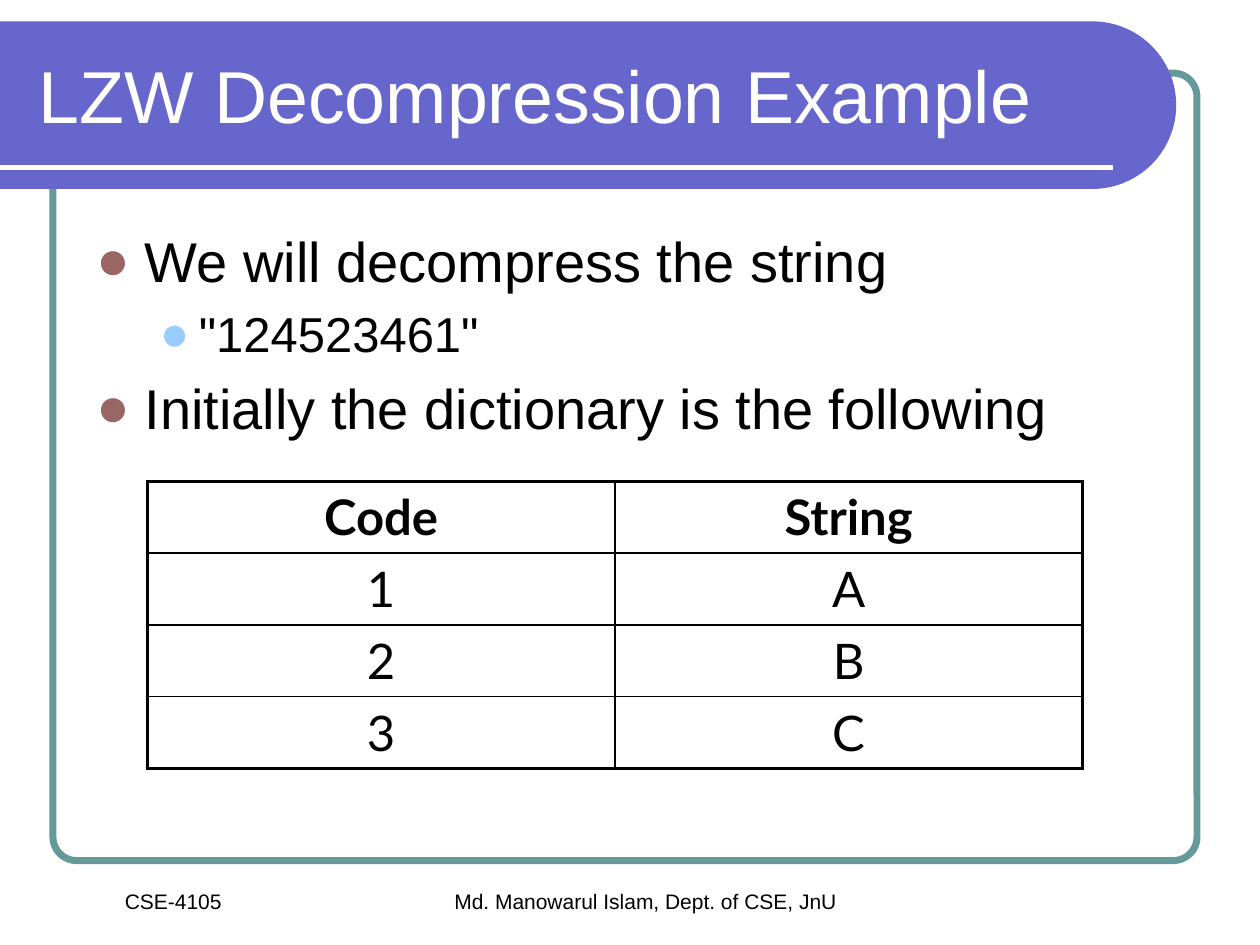
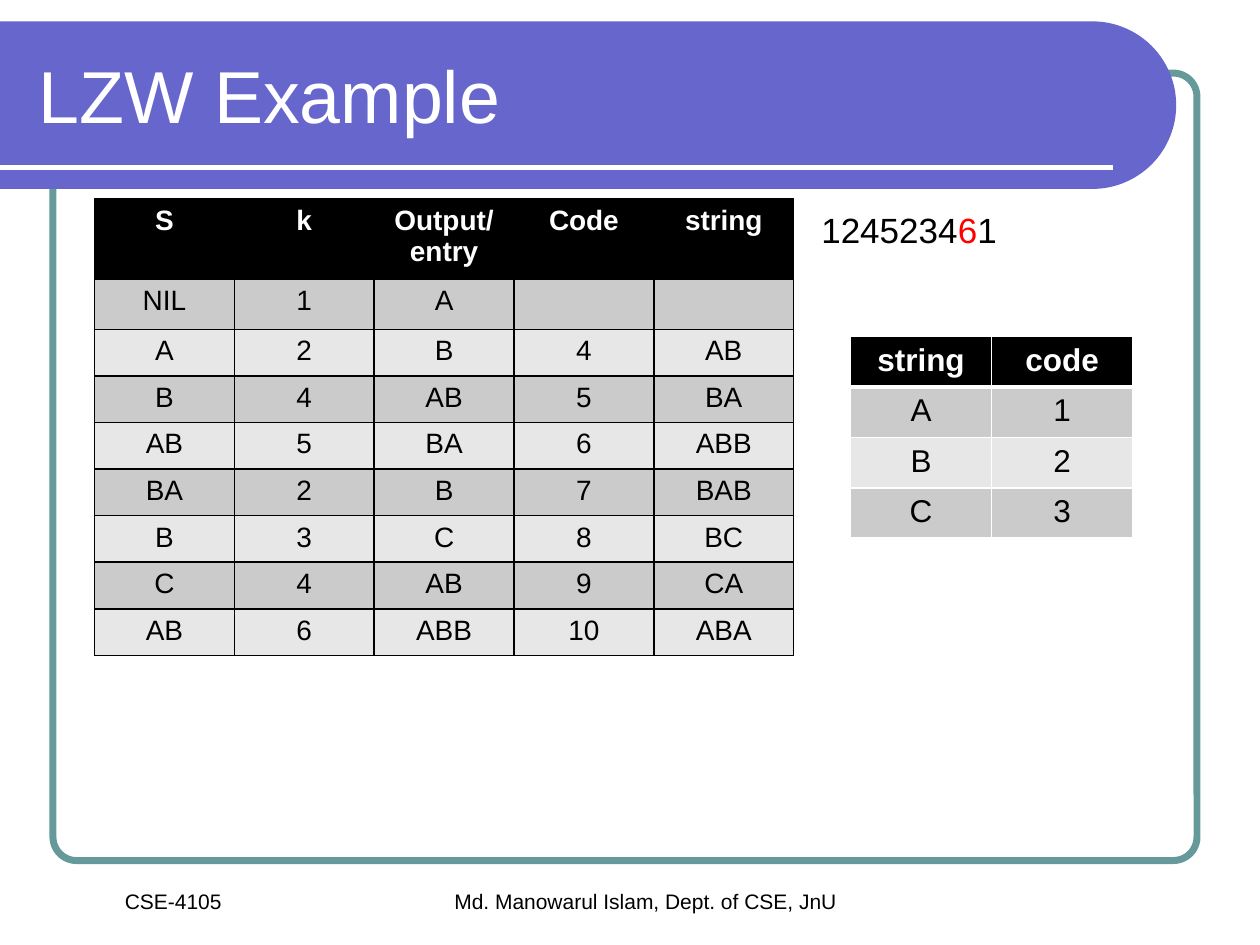
import math

from lxml import etree
from pptx import Presentation
from pptx.dml.color import RGBColor
from pptx.enum.shapes import MSO_CONNECTOR, MSO_SHAPE
from pptx.enum.text import MSO_ANCHOR, PP_ALIGN
from pptx.oxml.ns import qn
from pptx.util import Inches, Pt

LEFT = PP_ALIGN.LEFT
CENTER = PP_ALIGN.CENTER
TOP = MSO_ANCHOR.TOP
MIDDLE = MSO_ANCHOR.MIDDLE
ROUNDED = MSO_SHAPE.ROUNDED_RECTANGLE
STRAIGHT = MSO_CONNECTOR.STRAIGHT

WHITE = RGBColor(0xFF, 0xFF, 0xFF)
BLACK = RGBColor(0x00, 0x00, 0x00)
VIOLET = RGBColor(0x66, 0x66, 0xCC)
TEAL = RGBColor(0x66, 0x99, 0x99)
BROWN = RGBColor(0x99, 0x66, 0x66)
SKY = RGBColor(0x99, 0xCC, 0xFF)
RED = RGBColor(0xFF, 0x00, 0x00)
DARK_GRAY = RGBColor(0xCB, 0xCB, 0xCB)
LIGHT_GRAY = RGBColor(0xE7, 0xE7, 0xE7)


def add_text(page, place, lines, size, color=BLACK, align=LEFT, anchor=TOP):
    box = page.shapes.add_textbox(*[Inches(length) for length in place])
    frame = box.text_frame
    frame.word_wrap = True
    frame.vertical_anchor = anchor
    frame.text = "\n".join(lines)
    for para in frame.paragraphs:
        para.alignment = align
        for span in para.runs:
            span.font.name = "Arial"
            span.font.size = Pt(size)
            span.font.color.rgb = color
    return frame


def add_grid(page, rows, left, top, column_width, heights, font, size,
             head_color, fills, border, outer=1, head_rule=1):
    row_count, column_count = len(rows), len(rows[0])
    table = page.shapes.add_table(
        row_count, column_count, Inches(left), Inches(top),
        Inches(column_width * column_count), Inches(sum(heights))).table
    for column in table.columns:
        column.width = Inches(column_width)
    for r, values in enumerate(rows):
        table.rows[r].height = Inches(heights[r])
        for c, value in enumerate(values):
            cell = table.cell(r, c)
            cell.text = value
            para = cell.text_frame.paragraphs[0]
            para.alignment = CENTER
            for span in para.runs:
                span.font.name = font
                span.font.size = Pt(size)
                span.font.bold = r == 0
                span.font.color.rgb = head_color if r == 0 else BLACK
            widths = {
                "a:lnL": outer if c == 0 else 1,
                "a:lnR": outer if c == column_count - 1 else 1,
                "a:lnT": outer if r == 0 else head_rule if r == 1 else 1,
                "a:lnB": outer if r == row_count - 1 else head_rule if r == 0 else 1,
            }
            properties = cell._tc.get_or_add_tcPr()
            for side, width in widths.items():
                line = etree.SubElement(properties, qn(side), w=str(Pt(width)))
                solid = etree.SubElement(line, qn("a:solidFill"))
                etree.SubElement(solid, qn("a:srgbClr"), val=str(border))
            if fills:
                cell.fill.solid()
                cell.fill.fore_color.rgb = BLACK if r == 0 else fills[(r - 1) % len(fills)]
            else:
                cell.fill.background()


deck = Presentation()
deck.slide_width = Inches(10)
deck.slide_height = Inches(7.5)
blank_layout = deck.slide_layouts[6]

radius, arc_x, arc_y = 0.665, 8.67, 0.835
arc_points = []
for step in range(61):
    angle = math.radians(-90 + 3 * step)
    arc_points.append((Inches(arc_x + radius * math.cos(angle)),
                       Inches(arc_y + radius * math.sin(angle))))

pages = []
for title in ["LZW Decompression Example", "LZW Example"]:
    page = deck.slides.add_slide(blank_layout)
    pages.append(page)

    border_frame = page.shapes.add_shape(
        ROUNDED, Inches(0.42), Inches(0.58), Inches(9.08), Inches(6.25))
    border_frame.adjustments[0] = 0.03
    border_frame.shadow.inherit = False
    border_frame.fill.background()
    border_frame.line.color.rgb = TEAL
    border_frame.line.width = Pt(4)

    outline = page.shapes.build_freeform(0, Inches(arc_y - radius))
    outline.add_line_segments(arc_points + [(0, Inches(arc_y + radius))], close=True)
    band = outline.convert_to_shape()
    band.shadow.inherit = False
    band.fill.solid()
    band.fill.fore_color.rgb = VIOLET
    band.line.fill.background()

    rule = page.shapes.add_connector(
        STRAIGHT, 0, Inches(1.33), Inches(8.83), Inches(1.33))
    rule.line.color.rgb = WHITE
    rule.line.width = Pt(3)
    etree.SubElement(rule._element.spPr, qn("a:effectLst"))

    add_text(page, (1.75, 7, 6.75, 0.3),
             ["Md. Manowarul Islam, Dept. of CSE, JnU"], 12, align=CENTER)
    add_text(page, (0.25, 7, 2.25, 0.3), ["CSE-4105"], 12, align=CENTER)
    add_text(page, (0.21, 0.25, 8.77, 1), [title], 42, WHITE, anchor=MIDDLE)

intro_page, trace_page = pages

body = add_text(intro_page, (0.67, 1.75, 8.67, 4.83),
                ["We will decompress the string", '"124523461"',
                 "Initially the dictionary is the following"], 32)
main_level = (0.38, 0.38, BROWN, 32)
sub_level = (0.81, 0.31, SKY, 28)
for index, (para, level) in enumerate(zip(body.paragraphs, [main_level, sub_level, main_level])):
    margin, hang, bullet_color, size = level
    if index:
        para.space_before = Pt(size * 0.2)
    properties = para._p.get_or_add_pPr()
    properties.set("marL", str(Inches(margin)))
    properties.set("indent", str(-Inches(hang)))
    tint = etree.SubElement(properties, qn("a:buClr"))
    etree.SubElement(tint, qn("a:srgbClr"), val=str(bullet_color))
    etree.SubElement(properties, qn("a:buFont"), typeface="Arial")
    etree.SubElement(properties, qn("a:buChar"), char="●")
    para.runs[0].font.size = Pt(size)

symbols = [("1", "A"), ("2", "B"), ("3", "C")]
add_grid(intro_page, [("Code", "String")] + symbols, 1.17, 3.82, 3.71, [0.57] * 4,
         "Lato", 28, BLACK, None, BLACK, outer=2.25)

digits = add_text(trace_page, (6.42, 1.67, 3.5, 0.5), ["1245234"], 20)
digits_para = digits.paragraphs[0]
digits_para.line_spacing = 0.8
for digit, color in [("6", RED), ("1", BLACK)]:
    span = digits_para.add_run()
    span.text = digit
    span.font.name = "Arial"
    span.font.size = Pt(20)
    span.font.color.rgb = color

gray_bands = [DARK_GRAY, LIGHT_GRAY]
trace_rows = [
    ("S", "k", "Output/entry", "Code", "string"),
    ("NIL", "1", "A", "", ""),
    ("A", "2", "B", "4", "AB"),
    ("B", "4", "AB", "5", "BA"),
    ("AB", "5", "BA", "6", "ABB"),
    ("BA", "2", "B", "7", "BAB"),
    ("B", "3", "C", "8", "BC"),
    ("C", "4", "AB", "9", "CA"),
    ("AB", "6", "ABB", "10", "ABA"),
]
add_grid(trace_page, trace_rows, 0.75, 1.58, 1.11, [0.63] + [0.37] * 8,
         "Arial", 16, WHITE, gray_bands, BLACK)

code_rows = [("string", "code")] + [(letter, code) for code, letter in symbols]
add_grid(trace_page, code_rows, 6.75, 2.67, 1.12, [0.4] * 4,
         "Arial", 18, WHITE, gray_bands, WHITE, head_rule=3)

deck.save("out.pptx")
